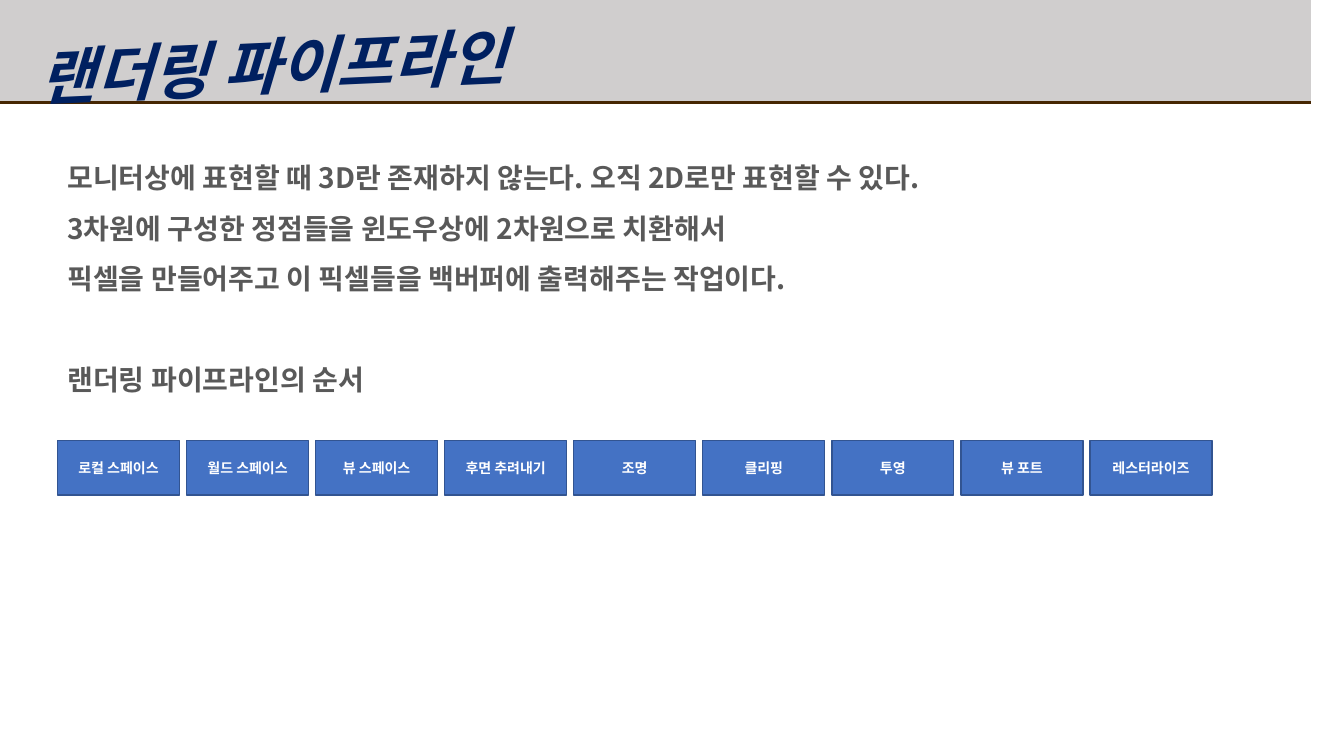
from lxml import etree
from pptx import Presentation
from pptx.dml.color import RGBColor
from pptx.enum.shapes import MSO_SHAPE
from pptx.enum.text import MSO_ANCHOR, MSO_AUTO_SIZE, PP_ALIGN
from pptx.oxml.ns import qn
from pptx.util import Inches, Pt

STAGES = ["로컬 스페이스", "월드 스페이스", "뷰 스페이스", "후면 추려내기", "조명",
          "클리핑", "투영", "뷰 포트", "레스터라이즈"]
INTRO = ["모니터상에 표현할 때 3D란 존재하지 않는다. 오직 2D로만 표현할 수 있다.",
         "3차원에 구성한 정점들을 윈도우상에 2차원으로 치환해서",
         "픽셀을 만들어주고 이 픽셀들을 백버퍼에 출력해주는 작업이다."]
ORDER_HEADING = "랜더링 파이프라인의 순서"


def rgb(value):
    return RGBColor.from_string(value)


class SlideBuilder:
    font = "Noto Sans CJK KR"

    def __init__(self, slide):
        self.slide = slide

    def style(self, p, size, color, italic=None):
        for r in p.runs:
            r.font.name = self.font
            r.font.size = Pt(size)
            r.font.bold = True
            r.font.italic = italic
            r.font.color.rgb = rgb(color)
            ea = etree.SubElement(r.font._element, qn("a:ea"))
            ea.set("typeface", self.font)

    def banner(self, points, fill, edge):
        """Filled outline with a hard shadow just below it."""
        start, *rest = points
        builder = self.slide.shapes.build_freeform(*start, scale=Inches(1))
        builder.add_line_segments(rest, close=True)
        sp = builder.convert_to_shape()
        sp.fill.solid()
        sp.fill.fore_color.rgb = rgb(fill)
        sp.line.fill.background()
        sp.shadow.inherit = False
        effects = sp._element.spPr.find(qn("a:effectLst"))
        shadow = etree.SubElement(effects, qn("a:outerShdw"), blurRad="0",
                                  dist=str(Pt(2)), dir="5400000", algn="t", rotWithShape="0")
        etree.SubElement(shadow, qn("a:srgbClr"), val=edge)

    def text(self, box, lines, size, color, italic=None, spacing=None, rotation=0):
        sp = self.slide.shapes.add_textbox(*map(Inches, box))
        sp.rotation = rotation
        tf = sp.text_frame
        tf.word_wrap = True
        tf.auto_size = MSO_AUTO_SIZE.SHAPE_TO_FIT_TEXT
        tf.text = "\n".join(lines)
        for p in tf.paragraphs:
            p.line_spacing = spacing
            self.style(p, size, color, italic)
        return tf

    def stage(self, box, label):
        sp = self.slide.shapes.add_shape(MSO_SHAPE.RECTANGLE, *map(Inches, box))
        sp.shadow.inherit = False
        sp.fill.solid()
        sp.fill.fore_color.rgb = rgb("4472C4")
        sp.line.color.rgb = rgb("325491")
        sp.line.width = Pt(1)
        tf = sp.text_frame
        tf.text = label
        tf.vertical_anchor = MSO_ANCHOR.MIDDLE
        p = tf.paragraphs[0]
        p.alignment = PP_ALIGN.CENTER
        self.style(p, 10, "FFFFFF")


def main():
    prs = Presentation()
    prs.slide_width, prs.slide_height = Inches(13.33), Inches(7.5)
    page = SlideBuilder(prs.slides.add_slide(prs.slide_layouts[6]))

    page.banner([(0, 0), (13.33, 0), (13.33, 0.75), (-0.02, 1.18)], "D0CECE", "462602")
    page.text((0.28, 0.21, 5.46, 0.84), ["랜더링 파이프라인"], 44, "002060",
              italic=True, rotation=357.3)
    body = page.text((0.57, 1.38, 10.35, 2.57), INTRO + [ORDER_HEADING], 20, "595959",
                     spacing=1.5)
    body.paragraphs[-1].space_before = Pt(36)

    left, pitch = 0.57, 1.28
    for i, label in enumerate(STAGES):
        page.stage((left + i * pitch, 4.37, 1.21, 0.54), label)

    prs.save("out.pptx")


if __name__ == "__main__":
    main()
